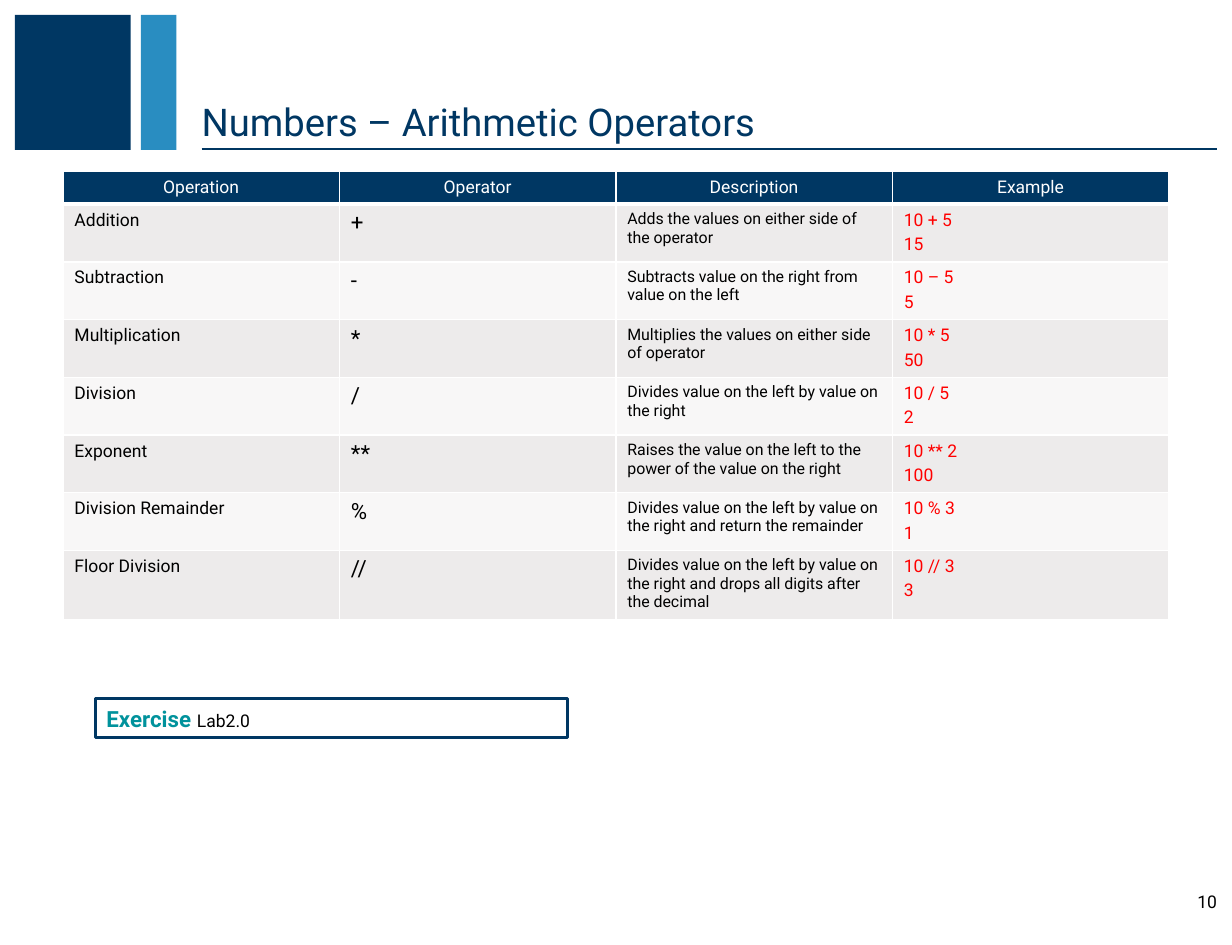
from lxml.etree import SubElement
from pptx import Presentation
from pptx.dml.color import RGBColor as Rgb
from pptx.enum.shapes import MSO_CONNECTOR as Link, MSO_SHAPE as Preset
from pptx.enum.text import MSO_ANCHOR as Anchor, PP_ALIGN as Align
from pptx.oxml.ns import qn
from pptx.util import Inches, Pt

COLOURS = {
    "navy": "003763", "blue": "298DC1", "rule": "003661", "teal": "00929C",
    "stone": "D2CFCD", "red": "FF0000", "black": "000000", "white": "FFFFFF",
}
GRID_COLUMNS, GRID_ROWS = 43, 33
HEADINGS = ["Operation", "Operator", "Description", "Example"]
OPERATIONS = [
    ("Addition", "+", "Adds the values on either side of the operator", "10 + 5\n15"),
    ("Subtraction", "-", "Subtracts value on the right from value on the left", "10 – 5\n5"),
    ("Multiplication", "*", "Multiplies the values on either side of operator", "10 * 5\n50"),
    ("Division", "/", "Divides value on the left by value on the right", "10 / 5\n2"),
    ("Exponent", "**", "Raises the value on the left to the power of the value on the right",
     "10 ** 2\n100"),
    ("Division Remainder", "%",
     "Divides value on the left by value on the right and return the remainder", "10 % 3\n1"),
    ("Floor Division", "//",
     "Divides value on the left by value on the right and drops all digits after the decimal",
     "10 // 3\n3"),
]
COLUMN_FORMATS = [{}, {"size": 14}, {"size": 10}, {"colour": "red"}]


def rgb(colour):
    """Return a named colour."""
    return Rgb.from_string(COLOURS[colour])


def write(paragraph, text, size=11, colour="black", bold=False, align=Align.LEFT, before=2.6):
    """Append a formatted run to a paragraph."""
    paragraph.alignment = align
    paragraph.space_before = Pt(before)
    run = paragraph.add_run()
    run.text = text
    run.font.name = "Roboto"
    run.font.size = Pt(size)
    run.font.bold = bold
    run.font.color.rgb = rgb(colour)


class SlideStyle:
    """Hold the slide and draw styled elements on its grid."""

    def __init__(self, deck):
        """Add a blank slide and derive the grid unit from its size."""
        self.slide = deck.slides.add_slide(deck.slide_layouts[6])
        self.shapes = self.slide.shapes
        self.column = deck.slide_width / GRID_COLUMNS
        self.row = deck.slide_height / GRID_ROWS

    def place(self, left, top, width, height):
        """Turn grid units into slide lengths."""
        return (round(left * self.column), round(top * self.row),
                round(width * self.column), round(height * self.row))

    def block(self, area, fill, outline=None):
        """Draw a rectangle."""
        block = self.shapes.add_shape(Preset.RECTANGLE, *self.place(*area))
        block.shadow.inherit = False
        block.fill.solid()
        block.fill.fore_color.rgb = rgb(fill)
        if outline:
            block.line.color.rgb = rgb(outline)
            block.line.width = Pt(2)
        else:
            block.line.fill.background()
        return block

    def rule(self, left, top, width):
        """Draw a horizontal line."""
        x, y, length, _ = self.place(left, top, width, 0)
        rule = self.shapes.add_connector(Link.STRAIGHT, x, y, x + length, y)
        rule.line.color.rgb = rgb("rule")
        rule.line.width = Pt(1)
        SubElement(rule._element.spPr, qn("a:effectLst"))

    def label(self, area, text, anchor, inset, **style):
        """Place text in a box without side insets."""
        frame = self.shapes.add_textbox(*self.place(*area)).text_frame
        frame.word_wrap = True
        frame.vertical_anchor = anchor
        frame.margin_left = frame.margin_right = 0
        frame.margin_top, frame.margin_bottom = map(Inches, inset)
        write(frame.paragraphs[0], text, **style)

    def cell(self, cell, text, fill, opacity, borders, **style):
        """Fill, border and write one table cell."""
        properties = cell._tc.get_or_add_tcPr()
        for side, width in borders.items():
            border = SubElement(properties, qn(f"a:ln{side}"), w=str(Pt(width)))
            paint = SubElement(border, qn("a:solidFill"))
            SubElement(paint, qn("a:srgbClr"), val=COLOURS["white"])
        cell.fill.solid()
        cell.fill.fore_color.rgb = rgb(fill)
        if opacity < 100:
            tint = properties.find(qn("a:solidFill")).find(qn("a:srgbClr"))
            SubElement(tint, qn("a:alpha"), val=str(opacity * 1000))
        frame = cell.text_frame
        for index, line in enumerate(text.split("\n")):
            paragraph = frame.add_paragraph() if index else frame.paragraphs[0]
            write(paragraph, line, **style)

    def table(self, area, headings, records, formats, heights):
        """Build a table with a dark heading and alternating tints."""
        table = self.shapes.add_table(
            len(records) + 1, len(headings), *self.place(*area)).table
        table.horz_banding = False
        for row, height in zip(table.rows, heights):
            row.height = round(height * self.row)
        for column, heading in enumerate(headings):
            self.cell(table.cell(0, column), heading, "navy", 100,
                      {"L": 1, "R": 1, "T": 1, "B": 3}, colour="white", align=Align.CENTER)
        for number, record in enumerate(records, 1):
            opacity = 40 if number % 2 else 15
            for column, (text, style) in enumerate(zip(record, formats)):
                self.cell(table.cell(number, column), text, "stone", opacity,
                          {"L": 1, "R": 1, "B": 1}, **style)


deck = Presentation()
deck.slide_width, deck.slide_height = Inches(10.75), Inches(8.25)
page = SlideStyle(deck)

page.block((0.52, 0.52, 4.04, 4.72), "navy")
page.block((4.92, 0.52, 1.24, 4.72), "blue")
page.rule(7.04, 5.2, 35.44)
page.label((7.04, 0.52, 35.44, 4.72), "Numbers – Arithmetic Operators", Anchor.BOTTOM,
           (0.05, 0.05), size=24, colour="navy", before=0)
page.label((40.8, 31, 1.68, 1.08), "10", Anchor.MIDDLE, (0, 0.03), align=Align.RIGHT)

row_heights = [1.12] + [1.96] * (len(OPERATIONS) - 1) + [2.36]
page.table((2.2, 6, 38.6, sum(row_heights)), HEADINGS, OPERATIONS, COLUMN_FORMATS, row_heights)

exercise = page.block((3.32, 24.4, 16.48, 1.36), "white", outline="navy").text_frame
exercise.word_wrap = True
exercise.vertical_anchor = Anchor.MIDDLE
write(exercise.paragraphs[0], "Exercise ", size=14, colour="teal", bold=True)
write(exercise.paragraphs[0], "Lab2.0")

deck.save("out.pptx")
